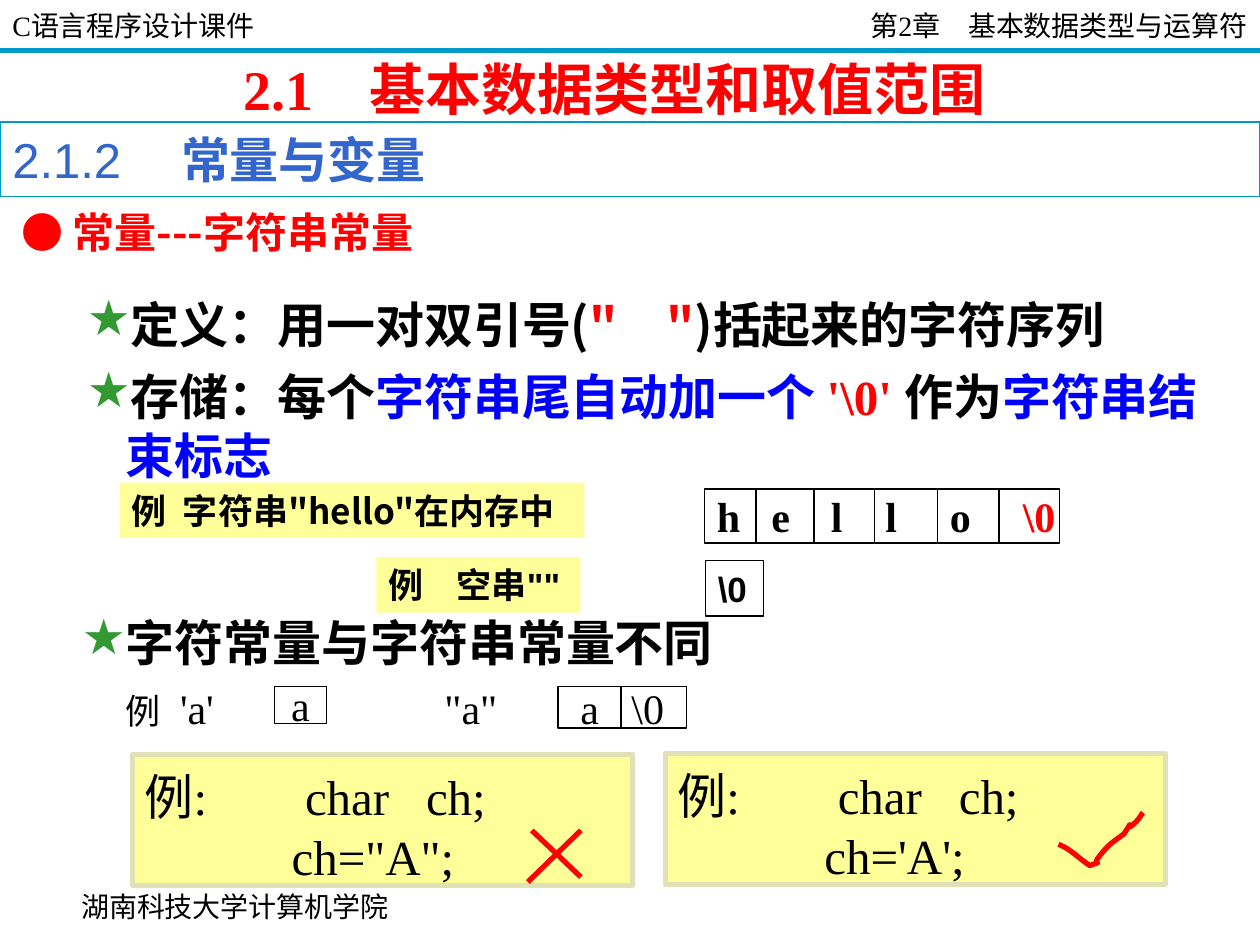
"""Build the slide about string constants in C."""
from lxml import etree
from pptx import Presentation
from pptx.dml.color import RGBColor
from pptx.enum.shapes import MSO_CONNECTOR, MSO_SHAPE
from pptx.enum.text import MSO_ANCHOR, PP_ALIGN
from pptx.oxml.ns import qn
from pptx.util import Cm, Pt

RECTANGLE = MSO_SHAPE.RECTANGLE
STRAIGHT = MSO_CONNECTOR.STRAIGHT
TOP, MIDDLE = MSO_ANCHOR.TOP, MSO_ANCHOR.MIDDLE
LEFT, CENTER, RIGHT = PP_ALIGN.LEFT, PP_ALIGN.CENTER, PP_ALIGN.RIGHT

BLACK = RGBColor(0x00, 0x00, 0x00)
RED = RGBColor(0xFF, 0x00, 0x00)
BLUE = RGBColor(0x00, 0x00, 0xFF)
HEADING_BLUE = RGBColor(0x33, 0x66, 0xCC)
TEAL = RGBColor(0x00, 0x99, 0xCC)
GREEN = RGBColor(0x33, 0x99, 0x33)
YELLOW = RGBColor(0xFF, 0xFF, 0x99)
KHAKI = RGBColor(0xE1, 0xE1, 0xB7)

SERIF, SANS, CJK = "Times New Roman", "Arial", "Noto Sans CJK SC"


def run(text, size, font=SERIF, color=BLACK, bold=False):
    return text, size, font, color, bold


def strong(text, color=BLACK, font=CJK):
    return run(text, 28, font, color, True)


def code(statement):
    return [[run("例:\tchar\tch;", 28)], [run("\t" + statement, 28)]]


TEXTS = [
    dict(box=(0, 0.05, 12, 0.91), lines=[[run("C语言程序设计课件", 16)]]),
    dict(box=(13.4, 0.05, 12, 0.91), align=RIGHT,
         lines=[[run("第2章\u3000基本数据类型与运算符".replace("\u3000", "　"), 16)]]),
    dict(box=(1.14, 17.63, 7.19, 1.27), align=CENTER, lines=[[run("湖南科技大学计算机学院", 16)]]),
    dict(box=(0, 2.46, 25.4, 1.5), line=(TEAL, 0.75),
         lines=[[run("2.1.2　 ", 28, SANS, HEADING_BLUE), strong("常量与变量", HEADING_BLUE)]]),
    dict(box=(0.18, 4.04, 24.64, 1.27), lines=[[run("● 常量---字符串常量", 24, CJK, RED, True)]]),
    dict(box=(0.23, 5.69, 24.66, 4.78), bullet=True, anchor=TOP, spacing=34, lines=[
        [strong("定义：用一对双引号("), strong('"　"', RED), strong(")括起来的字符序列")],
        [strong("存储：每个"), strong("字符串尾自动加一个 ", BLUE), strong("'\\0' ", RED, SERIF),
         strong("作为"), strong("字符串结束标志", BLUE)]]),
    dict(box=(14.2, 9.86, 7.16, 1.09), line=(BLACK, 0.75), tabs=[[1.1, 2.3, 3.4, 4.7, 6.17]],
         lines=[[run("h\te\tl\tl\to\t", 24, bold=True), run("\\0", 24, color=RED, bold=True)]]),
    dict(box=(2.41, 9.73, 9.37, 1.12), fill=YELLOW, tabs=[[1.03]],
         lines=[[run('例\t字符串"hello"在内存中', 20, CJK, bold=True)]]),
    dict(box=(7.59, 11.23, 4.11, 1.12), fill=YELLOW, tabs=[[1.37]],
         lines=[[run('例\t空串""', 20, SANS, bold=True)]]),
    dict(box=(14.22, 11.3, 1.17, 1.12), line=(BLACK, 0.75),
         lines=[[run("\\0", 20, SANS, bold=True)]]),
    dict(box=(0.13, 12.24, 22.25, 1.42), bullet=True, lines=[[strong("字符常量与字符串常量不同")]]),
    dict(box=(5.54, 13.84, 1.04, 0.74), line=(BLACK, 0.75), align=CENTER, lines=[[run("a", 24)]]),
    dict(box=(11.25, 13.84, 2.59, 0.84), line=(BLACK, 0.75), tabs=[[0.2, 1.23]],
         lines=[[run("\ta\t\\0", 24)]]),
    dict(box=(2.29, 13.64, 2.29, 1.27), tabs=[[1.09]],
         lines=[[run("例", 20), run("\t'a'", 24)]]),
    dict(box=(8.71, 13.64, 1.57, 1.27), lines=[[run('"a"', 24)]]),
    dict(box=(2.67, 15.21, 10.08, 2.64), fill=YELLOW, line=(KHAKI, 3), anchor=TOP, spacing=34,
         tabs=[[3.23, 5.67], [2.96]], lines=code('ch="A";')),
    dict(box=(13.41, 15.19, 10.08, 2.64), fill=YELLOW, line=(KHAKI, 3), anchor=TOP, spacing=34,
         tabs=[[3.23, 5.67], [2.96]], lines=code("ch='A';")),
    dict(box=(4.65, 0.97, 17.35, 1.63),
         lines=[[run("2.1　基本数据类型和取值范围", 32, color=RED, bold=True)]]),
]

CELL_DIVIDERS = [(x, 9.86, x, 10.95) for x in (15.24, 16.41, 17.63, 18.9, 20.14)]
LINES = [((0, 1.02, 25.4, 1.02), TEAL, 3)]
LINES += [(ends, BLACK, 0.75) for ends in CELL_DIVIDERS + [(12.52, 13.84, 12.52, 14.68)]]
LINES += [(ends, RED, 3) for ends in [(11.71, 16.74, 10.64, 17.78), (10.72, 16.74, 11.71, 17.68)]]

CHECK_START = (21.34, 17.02)
CHECK_CURVES = [
    ((21.59, 17.12), (21.74, 17.3), (21.97, 17.45)),
    ((22.3, 17.32), (21.97, 17.5), (22.17, 17.25)),
    ((22.38, 16.99), (22.45, 16.97), (22.66, 16.81)),
    ((22.94, 16.38), (22.58, 16.89), (22.91, 16.56)),
    ((22.96, 16.51), (23.04, 16.38), (23.04, 16.38)),
]
CURVE_STEPS = 8


def format_paragraph(paragraph, tabs, bullet, spacing):
    properties = paragraph._p.get_or_add_pPr()
    if spacing:
        paragraph.line_spacing = Pt(spacing)
    if bullet:
        properties.set("marL", str(Cm(2.06)))
        properties.set("indent", str(Cm(-0.79)))
        paragraph.space_before = Pt(7)
        color = etree.SubElement(properties, qn("a:buClr"))
        etree.SubElement(color, qn("a:srgbClr"), val=str(GREEN))
        etree.SubElement(properties, qn("a:buChar"), char="★")
    if tabs:
        tab_list = etree.SubElement(properties, qn("a:tabLst"))
        for position in tabs:
            etree.SubElement(tab_list, qn("a:tab"), pos=str(Cm(position)), algn="l")


def add_run(paragraph, text, size, font, color, bold):
    text_run = paragraph.add_run()
    text_run.text = text
    text_run.font.size = Pt(size)
    text_run.font.name = font
    text_run.font.bold = bold
    text_run.font.color.rgb = color
    etree.SubElement(text_run._r.get_or_add_rPr(), qn("a:ea"), typeface=CJK)


def add_text(slide, box, lines, fill=None, line=None, align=LEFT, anchor=MIDDLE,
             tabs=(), bullet=False, spacing=None):
    lengths = [Cm(value) for value in box]
    if fill or line:
        shape = slide.shapes.add_shape(RECTANGLE, *lengths)
        shape.shadow.inherit = False
        style_shape(shape, fill, line)
    else:
        shape = slide.shapes.add_textbox(*lengths)
    frame = shape.text_frame
    frame.word_wrap = bullet
    frame.vertical_anchor = anchor
    frame.margin_left = frame.margin_right = Cm(0.25)
    frame.margin_top = Cm(0.23 if spacing else 0.13)
    frame.margin_bottom = Cm(0.13)
    for index, runs in enumerate(lines):
        paragraph = frame.add_paragraph() if index else frame.paragraphs[0]
        paragraph.alignment = align
        format_paragraph(paragraph, tabs[index] if tabs else (), bullet, spacing)
        for content in runs:
            add_run(paragraph, *content)


def style_shape(shape, fill, line):
    if fill:
        shape.fill.solid()
        shape.fill.fore_color.rgb = fill
    else:
        shape.fill.background()
    if line:
        shape.line.color.rgb = line[0]
        shape.line.width = Pt(line[1])
    else:
        shape.line.fill.background()


def add_line(slide, ends, color, width):
    connector = slide.shapes.add_connector(STRAIGHT, *[Cm(value) for value in ends])
    connector.line.color.rgb = color
    connector.line.width = Pt(width)
    etree.SubElement(connector._element.spPr, qn("a:effectLst"))


def curve_points(start, curves):
    for first, second, end in curves:
        for step in range(1, CURVE_STEPS + 1):
            t = step / CURVE_STEPS
            weights = ((1 - t) ** 3, 3 * t * (1 - t) ** 2, 3 * t * t * (1 - t), t ** 3)
            corners = (start, first, second, end)
            yield tuple(Cm(sum(w * corner[axis] for w, corner in zip(weights, corners)))
                        for axis in (0, 1))
        start = end


def add_check_mark(slide):
    builder = slide.shapes.build_freeform(*[Cm(value) for value in CHECK_START])
    builder.add_line_segments(list(curve_points(CHECK_START, CHECK_CURVES)), close=False)
    shape = builder.convert_to_shape()
    shape.shadow.inherit = False
    style_shape(shape, YELLOW, (RED, 3))


def main():
    presentation = Presentation()
    presentation.slide_width, presentation.slide_height = Cm(25.4), Cm(19.05)
    slide = presentation.slides.add_slide(presentation.slide_layouts[6])
    for text in TEXTS:
        add_text(slide, **text)
    for line in LINES:
        add_line(slide, *line)
    add_check_mark(slide)
    presentation.save("out.pptx")


if __name__ == "__main__":
    main()
